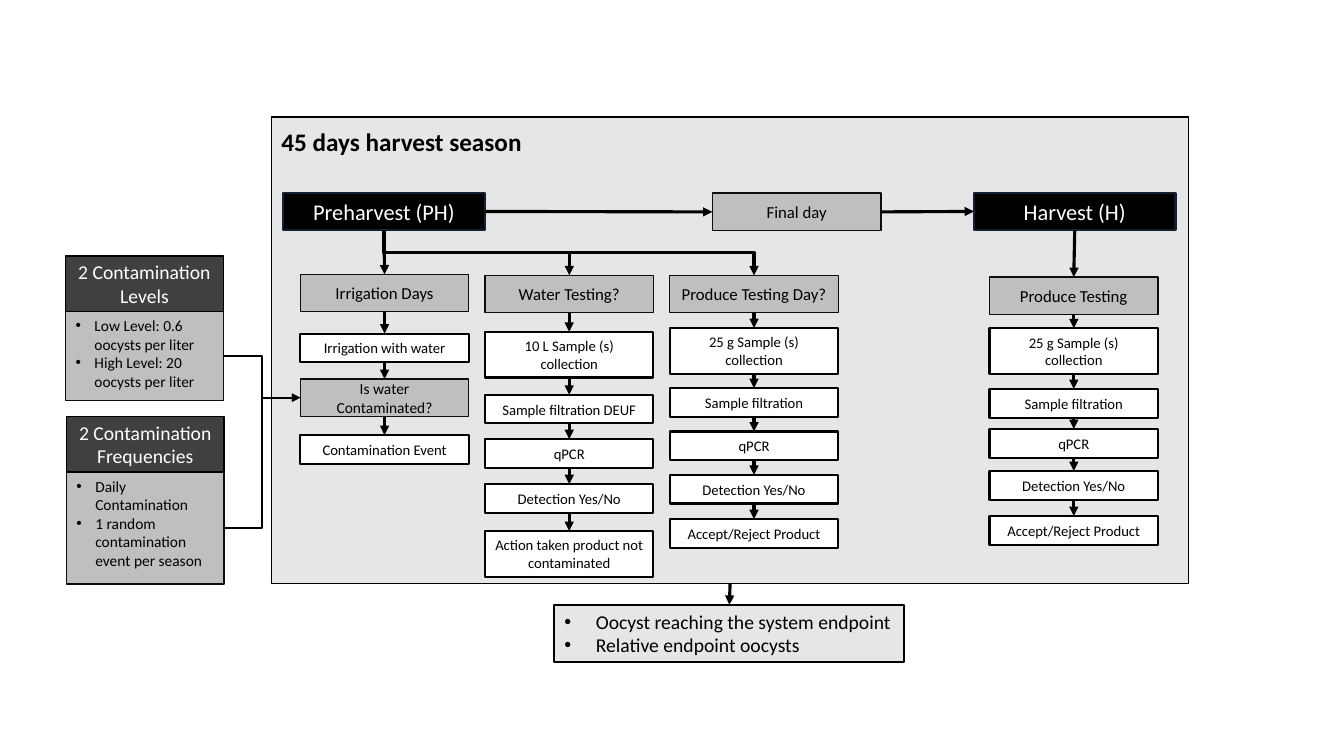
import pptx
import pptx.util
import pptx.dml.color
import pptx.enum.shapes
import pptx.enum.text
import lxml.etree
from pptx.oxml.ns import qn

Pt = pptx.util.Pt
RGBColor = pptx.dml.color.RGBColor
ALIGN = pptx.enum.text.PP_ALIGN
ANCHOR = pptx.enum.text.MSO_ANCHOR
CONNECTOR = pptx.enum.shapes.MSO_CONNECTOR
RECTANGLE = pptx.enum.shapes.MSO_SHAPE.RECTANGLE

BLACK = RGBColor(0x00, 0x00, 0x00)
WHITE = RGBColor(0xFF, 0xFF, 0xFF)
NAVY = RGBColor(0x13, 0x1F, 0x33)
INK = RGBColor(0x0D, 0x0D, 0x0D)
DARK = RGBColor(0x40, 0x40, 0x40)
GRAY = RGBColor(0xBF, 0xBF, 0xBF)
PALE = RGBColor(0xE7, 0xE6, 0xE6)
FONT = "Calibri"

# Content: each flow is its left edge and its steps (kind, top, text)
TITLE = "45 days harvest season"
FLOWS = {
    "irrigation": (214.5, [
        ("stage", 196, "Irrigation Days"),
        ("step", 238.3, "Irrigation with water"),
        ("check", 270.7, "Is water Contaminated?"),
        ("step", 310.8, "Contamination Event")]),
    "water": (346.4, [
        ("stage", 196.6, "Water Testing?"),
        ("tall", 237, "10 L Sample (s) collection"),
        ("step", 282, "Sample filtration DEUF"),
        ("step", 313.7, "qPCR"),
        ("step", 345.8, "Detection Yes/No"),
        ("tall", 379.3, "Action taken product not contaminated")]),
    "produce": (478.4, [
        ("stage", 196.7, "Produce Testing Day?"),
        ("tall", 234.3, "25 g Sample (s) collection"),
        ("step", 277.2, "Sample filtration"),
        ("step", 308.2, "qPCR"),
        ("step", 339.2, "Detection Yes/No"),
        ("step", 370.8, "Accept/Reject Product")]),
    "harvest": (706.8, [
        ("stage", 197.9, "Produce Testing"),
        ("tall", 234.5, "25 g Sample (s) collection"),
        ("step", 277.8, "Sample filtration"),
        ("step", 306.5, "qPCR"),
        ("step", 336.4, "Detection Yes/No"),
        ("step", 368.6, "Accept/Reject Product")]),
}
# Height, text size, fill, line colour, line width
KINDS = {
    "stage": (26.7, 12, GRAY, INK, 1),
    "check": (26.7, 11, GRAY, INK, 1),
    "step": (20.5, 10.5, WHITE, BLACK, 1.5),
    "tall": (32.7, 10.5, WHITE, BLACK, 1.5),
}
FLOW_WIDTH = 120.4
# Left, top, body height, heading, points
FACTORS = [
    (46.9, 182.8, 63.6, "2 Contamination Levels",
     ["Low Level: 0.6 oocysts per liter", "High Level: 20 oocysts per liter"]),
    (47.5, 297.5, 80, "2 Contamination Frequencies",
     ["Daily Contamination", "1 random contamination event per season"]),
]
FACTOR_WIDTH, HEADING_HEIGHT = 112.6, 39.6
ENDPOINTS = ["Oocyst reaching the system endpoint", "Relative endpoint oocysts"]

deck = pptx.Presentation()
deck.slide_width, deck.slide_height = Pt(960), Pt(540)
page = deck.slides.add_slide(deck.slide_layouts[6])


def write(box, text, size=12, color=BLACK, bold=False, align=ALIGN.CENTER,
          anchor=ANCHOR.MIDDLE, indent=0, wrap=True):
    """Fill a box with one line or a list; a positive indent adds bullets."""
    frame = box.text_frame
    frame.word_wrap = wrap
    frame.vertical_anchor = anchor
    for index, line in enumerate([text] if isinstance(text, str) else text):
        para = frame.paragraphs[0] if index == 0 else frame.add_paragraph()
        para.alignment = align
        span = para.add_run()
        span.text = line
        span.font.name, span.font.size = FONT, Pt(size)
        span.font.bold, span.font.color.rgb = bold, color
        if indent:
            props = para._p.get_or_add_pPr()
            props.set("marL", str(Pt(indent)))
            props.set("indent", str(-Pt(indent)))
            lxml.etree.SubElement(props, qn("a:buFont")).set("typeface", "Arial")
            lxml.etree.SubElement(props, qn("a:buChar")).set("char", "•")


def add_box(left, top, width, height, fill, line=BLACK, weight=1.0):
    box = page.shapes.add_shape(RECTANGLE, Pt(left), Pt(top), Pt(width), Pt(height))
    box.shadow.inherit = False
    box.fill.solid()
    box.fill.fore_color.rgb = fill
    box.line.color.rgb = line
    box.line.width = Pt(weight)
    return box


def add_arrow(start, end, kind=CONNECTOR.STRAIGHT, weight=2.25):
    arrow = page.shapes.add_connector(kind, *start, *end)
    arrow.line.color.rgb = BLACK
    arrow.line.width = Pt(weight)
    outline = arrow.line._get_or_add_ln()
    lxml.etree.SubElement(outline, qn("a:tailEnd")).set("type", "triangle")
    lxml.etree.SubElement(arrow._element.spPr, qn("a:effectLst"))
    return arrow


def side(box, site):
    """Middle of a side: 0 top, 1 left, 2 bottom, 3 right."""
    across, down = [(1, 0), (0, 1), (1, 2), (2, 1)][site]
    return box.left + box.width * across // 2, box.top + box.height * down // 2


def link(source, target, source_site=2, target_site=0):
    arrow = add_arrow(side(source, source_site), side(target, target_site))
    arrow.begin_connect(source, source_site)
    arrow.end_connect(target, target_site)


def branch_down(source, target):
    """Elbow that leaves downwards: a horizontal elbow turned by 270 degrees."""
    (x1, y1), (x2, y2) = side(source, 2), side(target, 0)
    run, drop = x2 - x1, y2 - y1
    left, top = (x1 + x2 - drop) // 2, (y1 + y2 - run) // 2
    arrow = add_arrow((left + drop, top), (left, top + run), CONNECTOR.ELBOW)
    arrow._element.spPr.find(qn("a:xfrm")).set("rot", "16200000")


# Season frame and title
season = add_box(194, 83.7, 655, 333.3, PALE)
title = page.shapes.add_textbox(Pt(194), Pt(86.4), Pt(199.4), Pt(29))
write(title, TITLE, size=18, bold=True, align=ALIGN.LEFT, anchor=ANCHOR.TOP)

# Season phases
preharvest = add_box(202.3, 137.7, 144, 26.7, BLACK, NAVY, 1.5)
write(preharvest, "Preharvest (PH)", size=16, color=WHITE)
final_day = add_box(508.9, 138, FLOW_WIDTH, 26.7, GRAY, INK)
write(final_day, "Final day")
harvest = add_box(695.7, 137.7, 144, 26.7, BLACK, NAVY, 1.5)
write(harvest, "Harvest (H)", size=16, color=WHITE)
link(preharvest, final_day, 3, 1)
link(final_day, harvest, 3, 1)

# Flows of steps, each linked to the next
flows = {}
for name, (left, steps) in FLOWS.items():
    flows[name] = []
    for kind, top, text in steps:
        height, size, fill, line, weight = KINDS[kind]
        box = add_box(left, top, FLOW_WIDTH, height, fill, line, weight)
        write(box, text, size=size)
        flows[name].append(box)
    for upper, lower in zip(flows[name], flows[name][1:]):
        link(upper, lower)

# Phases into flows
link(preharvest, flows["irrigation"][0])
branch_down(preharvest, flows["water"][0])
branch_down(preharvest, flows["produce"][0])
link(harvest, flows["harvest"][0])

# Contamination factors feeding the water check
water_check = flows["irrigation"][2]
for left, top, height, heading, points in FACTORS:
    body = add_box(left, top + HEADING_HEIGHT, FACTOR_WIDTH, height, GRAY, INK)
    write(body, points, size=11, align=ALIGN.LEFT, anchor=ANCHOR.TOP, indent=13.5)
    head = add_box(left, top, FACTOR_WIDTH, HEADING_HEIGHT, DARK)
    write(head, heading, size=14, color=WHITE)
    add_arrow(side(body, 3), side(water_check, 1), CONNECTOR.ELBOW, 1.5)

# Season endpoints
endpoint = add_box(396, 432, 250, 41.2, PALE, BLACK, 1.5)
write(endpoint, ENDPOINTS, size=14, align=ALIGN.LEFT, anchor=ANCHOR.TOP,
      indent=22.5, wrap=False)
link(season, endpoint)

deck.save("out.pptx")
